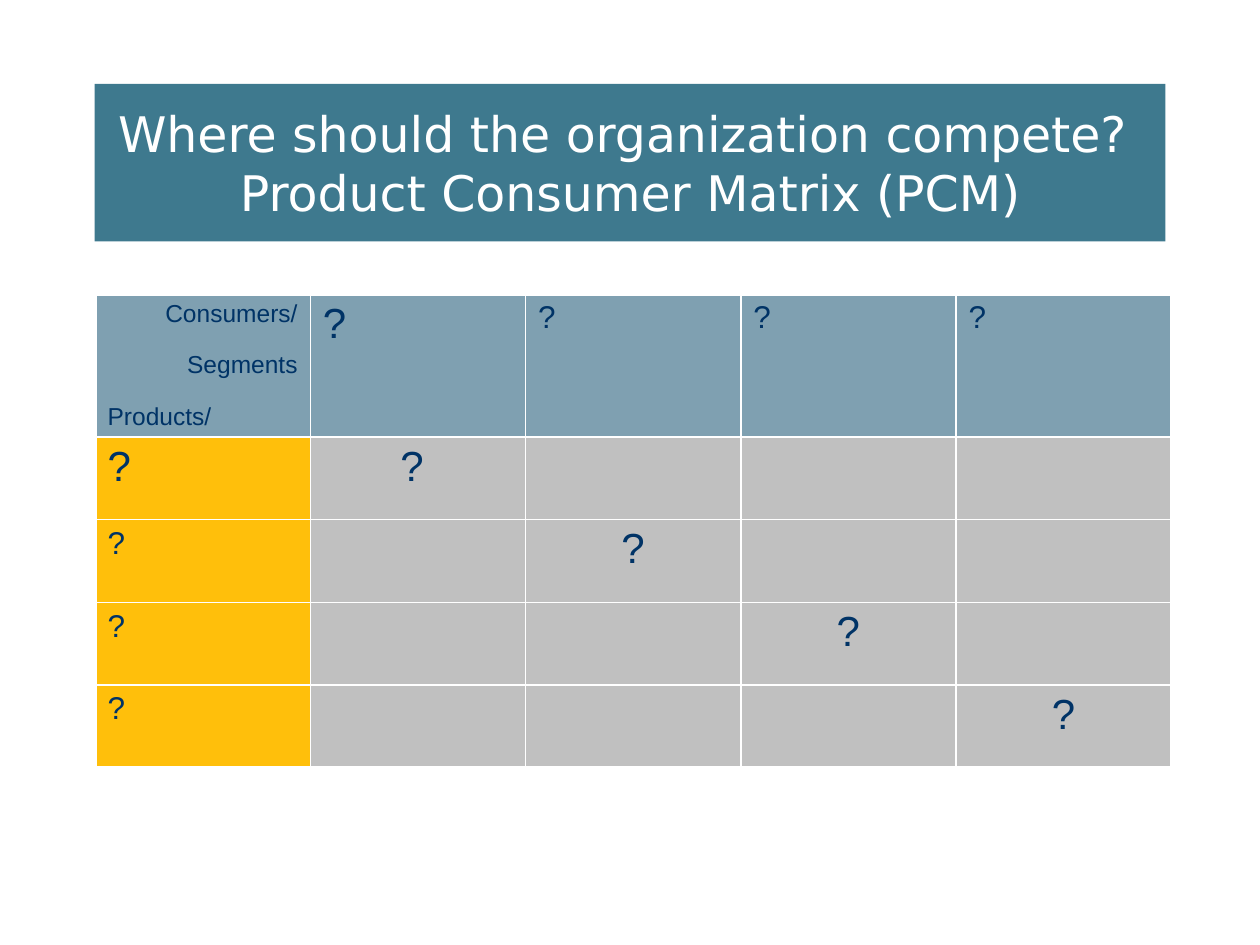
from dataclasses import dataclass

from lxml.etree import SubElement
from pptx import Presentation
from pptx.dml.color import RGBColor
from pptx.enum.text import MSO_ANCHOR, MSO_AUTO_SIZE, PP_ALIGN
from pptx.oxml.ns import qn
from pptx.util import Pt


@dataclass(frozen=True)
class Theme:
    """Colours, fonts and type sizes of the slide."""
    white: str = "FFFFFF"
    teal: str = "3E798E"
    blue: str = "7FA0B1"
    gold: str = "FFBF0B"
    grey: str = "C0C0C0"
    navy: str = "003366"
    head: str = "DejaVu Sans"
    body: str = "Arial"
    title: int = 28
    large: int = 24
    mid: int = 18
    small: int = 14
    thin: float = 1
    thick: float = 2.25


THEME = Theme()
COUNT = 5
LEFT, RIGHT, CENTER = PP_ALIGN.LEFT, PP_ALIGN.RIGHT, PP_ALIGN.CENTER


def paint(fill, color):
    """Give a fill one solid colour."""
    fill.solid()
    fill.fore_color.rgb = RGBColor.from_string(color)


def style(para, name, size, color, align):
    """Align a paragraph and format its runs."""
    para.alignment = align
    for run in para.runs:
        run.font.name = name
        run.font.size = Pt(size)
        run.font.color.rgb = RGBColor.from_string(color)


def add_title(slide, text):
    """Place the title on its coloured band."""
    box = slide.shapes.title
    box.left, box.top, box.width, box.height = Pt(54), Pt(48), Pt(612), Pt(90)
    paint(box.fill, THEME.teal)
    frame = box.text_frame
    frame.text = text
    frame.word_wrap = True
    frame.auto_size = MSO_AUTO_SIZE.NONE
    frame.vertical_anchor = MSO_ANCHOR.MIDDLE
    style(frame.paragraphs[0], THEME.head, THEME.title, THEME.white, CENTER)


def set_edges(cell, row, col):
    """Draw white cell borders, thicker round the table."""
    last = COUNT - 1
    outer = {"L": col == 0, "R": col == last, "T": row == 0, "B": row == last}
    props = cell._tc.get_or_add_tcPr()
    for side, edge in outer.items():
        width = Pt(THEME.thick if edge else THEME.thin)
        line = SubElement(props, qn(f"a:ln{side}"), w=str(width))
        fill = SubElement(line, qn("a:solidFill"))
        SubElement(fill, qn("a:srgbClr"), val=THEME.white)


def write(cell, text, size, aligns):
    """Write a cell, one alignment for each paragraph."""
    cell.text_frame.text = text
    for spot, (para, align) in enumerate(zip(cell.text_frame.paragraphs, aligns)):
        style(para, THEME.body, size, THEME.navy, align)
        if spot:
            para.space_before = Pt(13.6)


def fill_cell(cell, row, col):
    """Colour a cell and write what its place in the matrix calls for."""
    set_edges(cell, row, col)
    color = THEME.blue if row == 0 else THEME.gold if col == 0 else THEME.grey
    paint(cell.fill, color)
    if row == col == 0:
        write(cell, "Consumers/\nSegments\nProducts/", THEME.small, (RIGHT, RIGHT, LEFT))
    elif row == 0 or col == 0:
        size = THEME.large if row + col == 1 else THEME.mid
        write(cell, "?", size, (LEFT,))
    elif row == col:
        write(cell, "? " if row == 1 else "?", THEME.large, (CENTER,))


def add_matrix(slide):
    """Add the product and consumer table."""
    frame = slide.shapes.add_table(COUNT, COUNT, Pt(54.3), Pt(168), Pt(615), Pt(243.3))
    table = frame.table
    table.first_row = table.horz_banding = False
    for col in table.columns:
        col.width = Pt(123)
    for index, row in enumerate(table.rows):
        row.height = Pt(47.3 if index else 53.3)
        for col, cell in enumerate(row.cells):
            fill_cell(cell, index, col)


def main():
    """Build and save the slide."""
    deck = Presentation()
    deck.slide_width, deck.slide_height = Pt(720), Pt(540)
    slide = deck.slides.add_slide(deck.slide_layouts[5])
    add_title(slide, "Where should the organization compete? \vProduct Consumer Matrix (PCM)")
    add_matrix(slide)
    deck.save("out.pptx")


if __name__ == "__main__":
    main()
